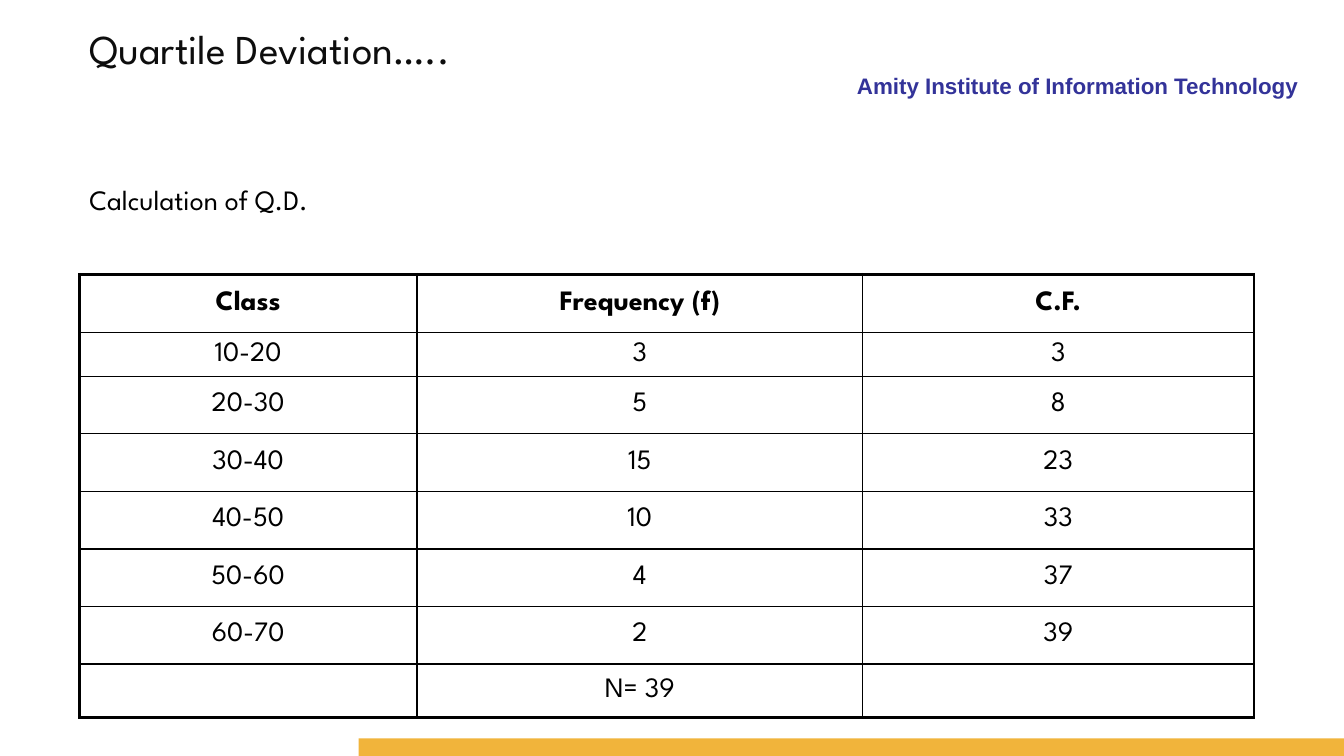
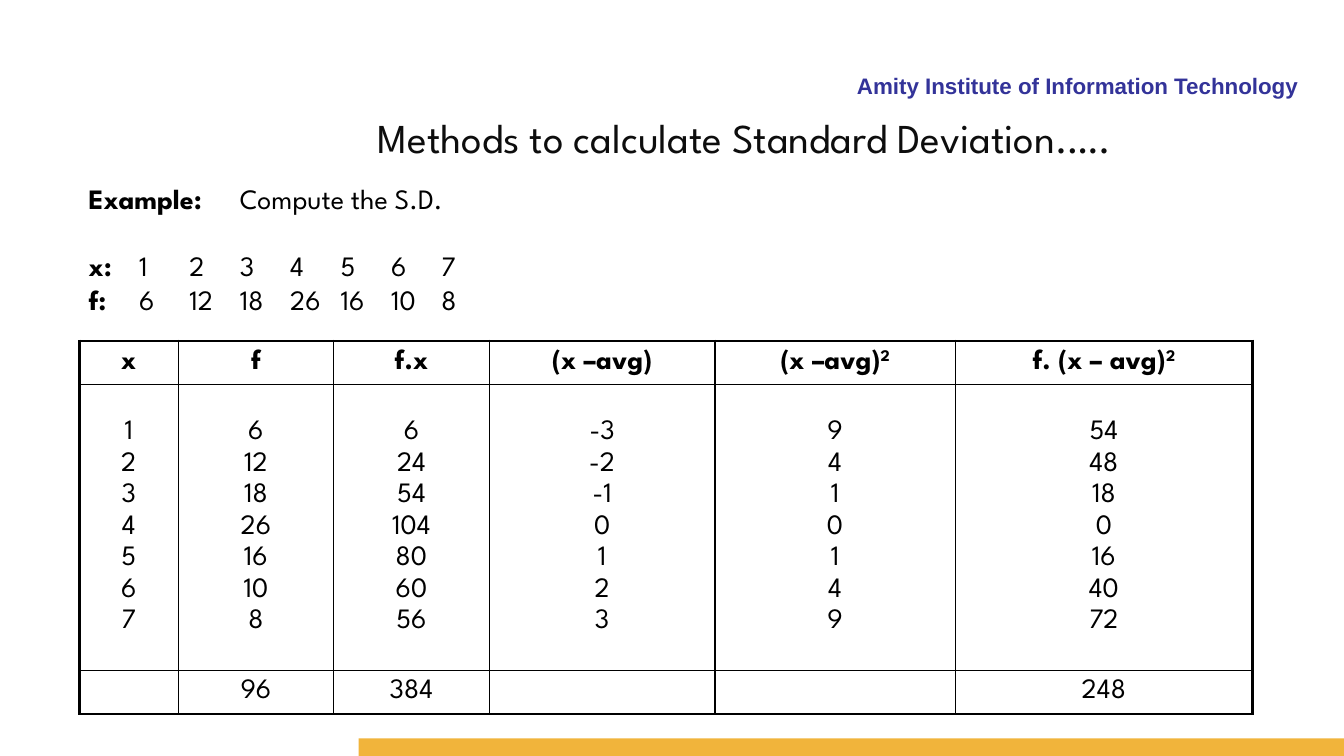
from dataclasses import dataclass

from lxml import etree
from pptx import Presentation
from pptx.dml.color import RGBColor
from pptx.enum.shapes import MSO_SHAPE
from pptx.enum.text import MSO_ANCHOR, MSO_AUTO_SIZE, PP_ALIGN
from pptx.oxml.ns import qn
from pptx.util import Cm, Inches, Pt

RECTANGLE = MSO_SHAPE.RECTANGLE
TOP, MIDDLE = MSO_ANCHOR.TOP, MSO_ANCHOR.MIDDLE
LEFT, CENTER = PP_ALIGN.LEFT, PP_ALIGN.CENTER
RIGHT, JUSTIFY = PP_ALIGN.RIGHT, PP_ALIGN.JUSTIFY
NO_AUTOFIT = MSO_AUTO_SIZE.NONE

BLACK = RGBColor(0x00, 0x00, 0x00)
TITLE_INK = RGBColor(0x0D, 0x0D, 0x0D)
INSTITUTE_BLUE = RGBColor(0x33, 0x33, 0x99)
BAND_GOLD = RGBColor(0xF1, 0xB4, 0x3B)

MAIN_FONT, LABEL_FONT = "League Spartan", "Arial"
TITLE_SIZE, TEXT_SIZE, LABEL_SIZE = Pt(29.3), Pt(20), Pt(16)
TITLE_LINE, BODY_LINE = Pt(36), Pt(24)
THICK, THIN = Pt(2.25), Pt(1)
TAB_STEP, TAB_COUNT = Inches(1), 7
MARGIN = Cm(2)


@dataclass(frozen=True)
class Area:
    left: int
    top: int
    width: int
    height: int


@dataclass(frozen=True)
class BodyLine:
    label: str  # bold lead-in
    text: str
    before: int = 0


@dataclass(frozen=True)
class Grid:
    top: int
    columns: list[float]  # widths in cm
    heights: list[float]  # in cm
    rows: list[list[str]]  # "\n" parts paragraphs, "^" starts a superscript


@dataclass(frozen=True)
class Lesson:
    title: str
    title_area: Area
    body: list[BodyLine]
    body_area: Area
    grid: Grid


QUARTILE = Lesson(
    title="Quartile Deviation…..",
    title_area=Area(MARGIN, Cm(0.43), Cm(11.3), Cm(1.5)),
    body=[BodyLine("", "Calculation of Q.D.")],
    body_area=Area(MARGIN, Cm(4.47), Cm(29.6), Cm(1.12)),
    grid=Grid(
        top=Cm(6.91),
        columns=[8.51, 11.23, 9.86],
        heights=[1.47, 1.09] + [1.45] * 5 + [1.34],
        rows=[
            ["Class", "Frequency (f)", "C.F."],
            ["10-20", "3", "3"],
            ["20-30", "5", "8"],
            ["30-40", "15", "23"],
            ["40-50", "10", "33"],
            ["50-60", "4", "37"],
            ["60-70", "2", "39"],
            ["", "N= 39", ""],
        ],
    ),
)

STANDARD = Lesson(
    title="Methods to calculate Standard Deviation.….",
    title_area=Area(Cm(9.27), Cm(2.69), Cm(23.19), Cm(1.5)),
    body=[
        BodyLine("Example:", "\tCompute the S.D."),
        BodyLine("x:", "\t1\t2\t3\t4\t5\t6\t7", before=BODY_LINE),
        BodyLine("f:", "\t6\t12\t18\t26\t16\t10\t8"),
    ],
    body_area=Area(Cm(1.98), Cm(4.45), Cm(29.6), Cm(3.68)),
    grid=Grid(
        top=Cm(8.59),
        columns=[2.49, 3.92, 3.92, 5.69, 6.05, 7.5],
        heights=[1.09, 7.2, 1.09],
        rows=[
            ["x", "f", "f.x", "(x –avg)", "(x –avg)^2", "f. (x – avg)^2"],
            [
                "1\n2\n3\n4\n5\n6\n7",
                "6\n12\n18\n26\n16\n10\n8",
                "6\n24\n54\n104\n80\n60\n56",
                "-3\n-2\n-1\n0\n1\n2\n3",
                "9\n4\n1\n0\n1\n4\n9",
                "54\n48\n18\n0\n16\n40\n72",
            ],
            ["", "96", "384", "", "", "248"],
        ],
    ),
)


def set_font(para, size: int = TEXT_SIZE, color: RGBColor = BLACK,
             name: str = MAIN_FONT, bold: bool | None = None) -> None:
    font = para.font
    font.name, font.size, font.bold = name, size, bold
    font.color.rgb = color


def place(box, area: Area) -> None:
    box.left, box.top = area.left, area.top
    box.width, box.height = area.width, area.height
    frame = box.text_frame
    frame.word_wrap = True
    frame.auto_size = NO_AUTOFIT
    frame.vertical_anchor = TOP


def add_institute_frame(page) -> None:
    """Draw the institute name and the gold foot band."""
    band = page.shapes.add_shape(RECTANGLE, Cm(9.04), Cm(18.61), Cm(24.83), Cm(0.44))
    band.shadow.inherit = False
    band.fill.solid()
    band.fill.fore_color.rgb = BAND_GOLD
    band.line.fill.background()

    label = page.shapes.add_textbox(Cm(12.93), Cm(1.7), Cm(20.04), Cm(0.84))
    label.text_frame.word_wrap = True
    para = label.text_frame.paragraphs[0]
    para.text = "Amity Institute of Information Technology"
    para.alignment = RIGHT
    set_font(para, LABEL_SIZE, INSTITUTE_BLUE, LABEL_FONT, True)


def fill_title(box, lesson: Lesson) -> None:
    place(box, lesson.title_area)
    para = box.text_frame.paragraphs[0]
    para.text = lesson.title
    para.alignment = LEFT
    para.line_spacing = TITLE_LINE
    set_font(para, TITLE_SIZE, TITLE_INK)


def clear_bullet_and_set_tabs(para) -> None:
    properties = para._p.get_or_add_pPr()
    properties.set("marL", "0")
    properties.set("indent", "0")
    etree.SubElement(properties, qn("a:buNone"))
    tabs = etree.SubElement(properties, qn("a:tabLst"))
    for stop in range(1, TAB_COUNT + 1):
        etree.SubElement(tabs, qn("a:tab"), pos=str(stop * TAB_STEP), algn="l")


def fill_body(box, lesson: Lesson) -> None:
    place(box, lesson.body_area)
    frame = box.text_frame
    for index, line in enumerate(lesson.body):
        para = frame.add_paragraph() if index else frame.paragraphs[0]
        clear_bullet_and_set_tabs(para)
        para.alignment = JUSTIFY
        para.line_spacing = BODY_LINE
        para.space_before = line.before
        set_font(para)
        if line.label:
            span = para.add_run()
            span.text = line.label
            span.font.bold = True
        para.add_run().text = line.text


def set_borders(cell, widths: dict[str, int]) -> None:
    properties = cell._tc.get_or_add_tcPr()
    for side, width in widths.items():
        line = etree.SubElement(properties, qn(f"a:ln{side}"), w=str(width))
        fill = etree.SubElement(line, qn("a:solidFill"))
        etree.SubElement(fill, qn("a:srgbClr"), val=str(BLACK))


def fill_cell(cell, text: str, bold: bool) -> None:
    cell.vertical_anchor = MIDDLE
    frame = cell.text_frame
    for index, entry in enumerate(text.split("\n")):
        para = frame.add_paragraph() if index else frame.paragraphs[0]
        para.alignment = CENTER
        if index:
            para.space_before = Pt(4)
        set_font(para, bold=bold)
        base, _, power = entry.partition("^")
        if base:
            para.add_run().text = base
        if power:
            span = para.add_run()
            span.text = power
            span._r.get_or_add_rPr().set("baseline", "30000")


def add_grid(page, grid: Grid) -> None:
    row_count, column_count = len(grid.rows), len(grid.columns)
    table = page.shapes.add_table(
        row_count, column_count, MARGIN, grid.top,
        Cm(sum(grid.columns)), Cm(sum(grid.heights))).table
    table.first_row = table.horz_banding = False
    for column, width in zip(table.columns, grid.columns):
        column.width = Cm(width)
    for row, height in zip(table.rows, grid.heights):
        row.height = Cm(height)
    for r, texts in enumerate(grid.rows):
        for c, text in enumerate(texts):
            cell = table.cell(r, c)
            fill_cell(cell, text, bold=r == 0)
            # Thick lines run round the outside only
            set_borders(cell, {
                "L": THICK if c == 0 else THIN,
                "R": THICK if c == column_count - 1 else THIN,
                "T": THICK if r == 0 else THIN,
                "B": THICK if r == row_count - 1 else THIN,
            })
            cell.fill.background()


def add_lesson(deck, lesson: Lesson) -> None:
    page = deck.slides.add_slide(deck.slide_layouts[1])
    add_institute_frame(page)
    fill_title(page.shapes.title, lesson)
    fill_body(page.placeholders[1], lesson)
    add_grid(page, lesson.grid)


def main() -> None:
    deck = Presentation()
    deck.slide_width, deck.slide_height = Cm(33.87), Cm(19.05)
    for lesson in (QUARTILE, STANDARD):
        add_lesson(deck, lesson)
    deck.save("out.pptx")


if __name__ == "__main__":
    main()
